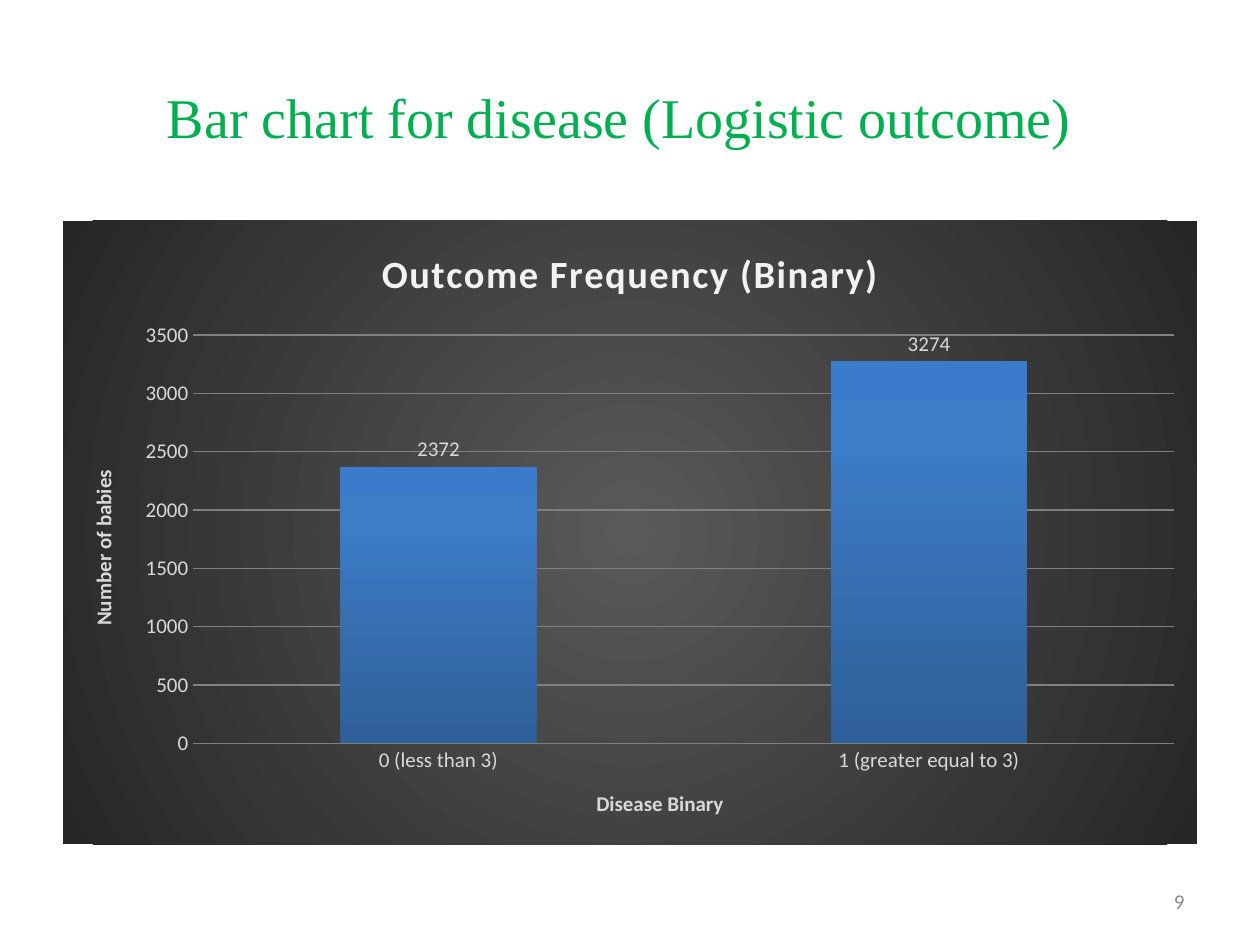
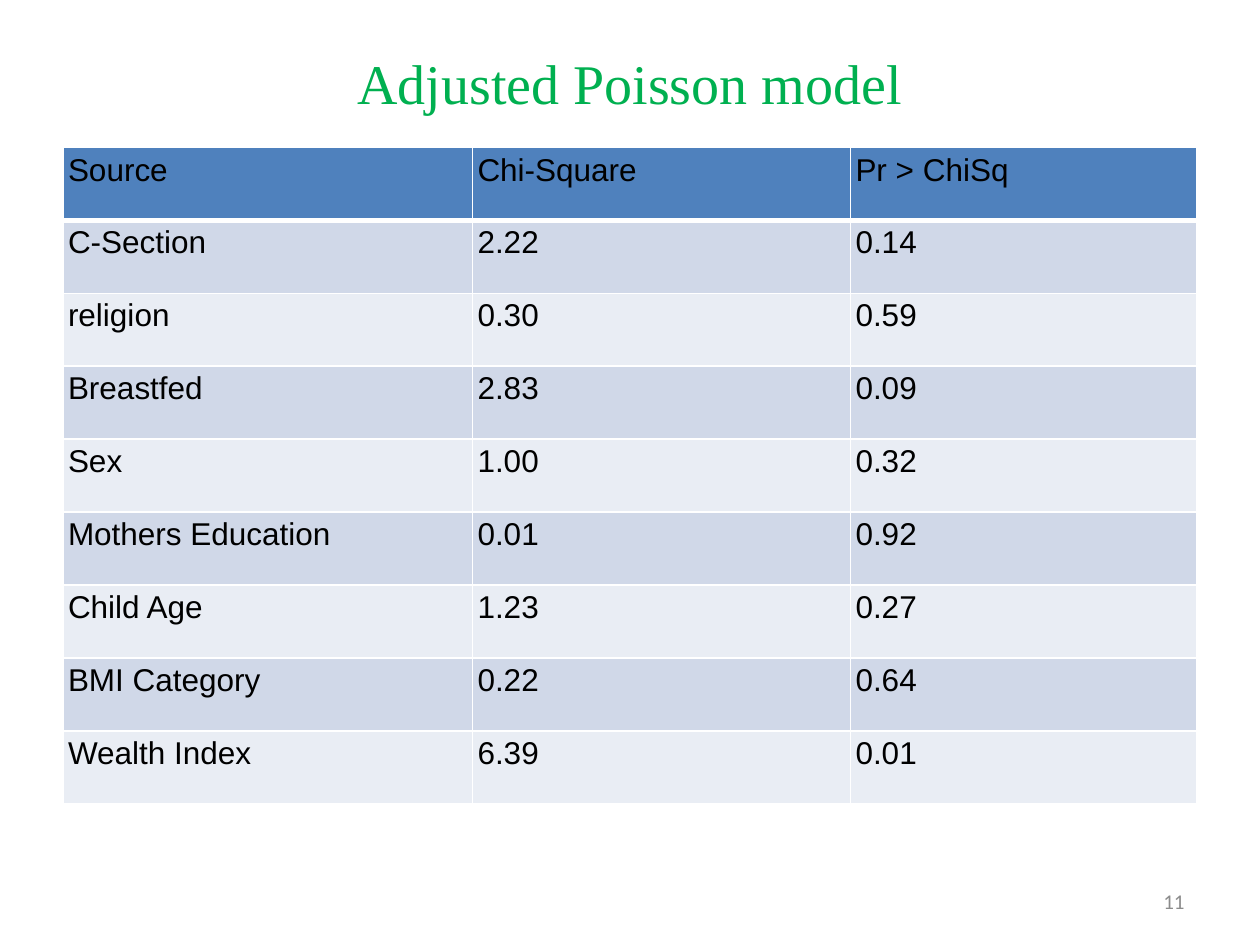
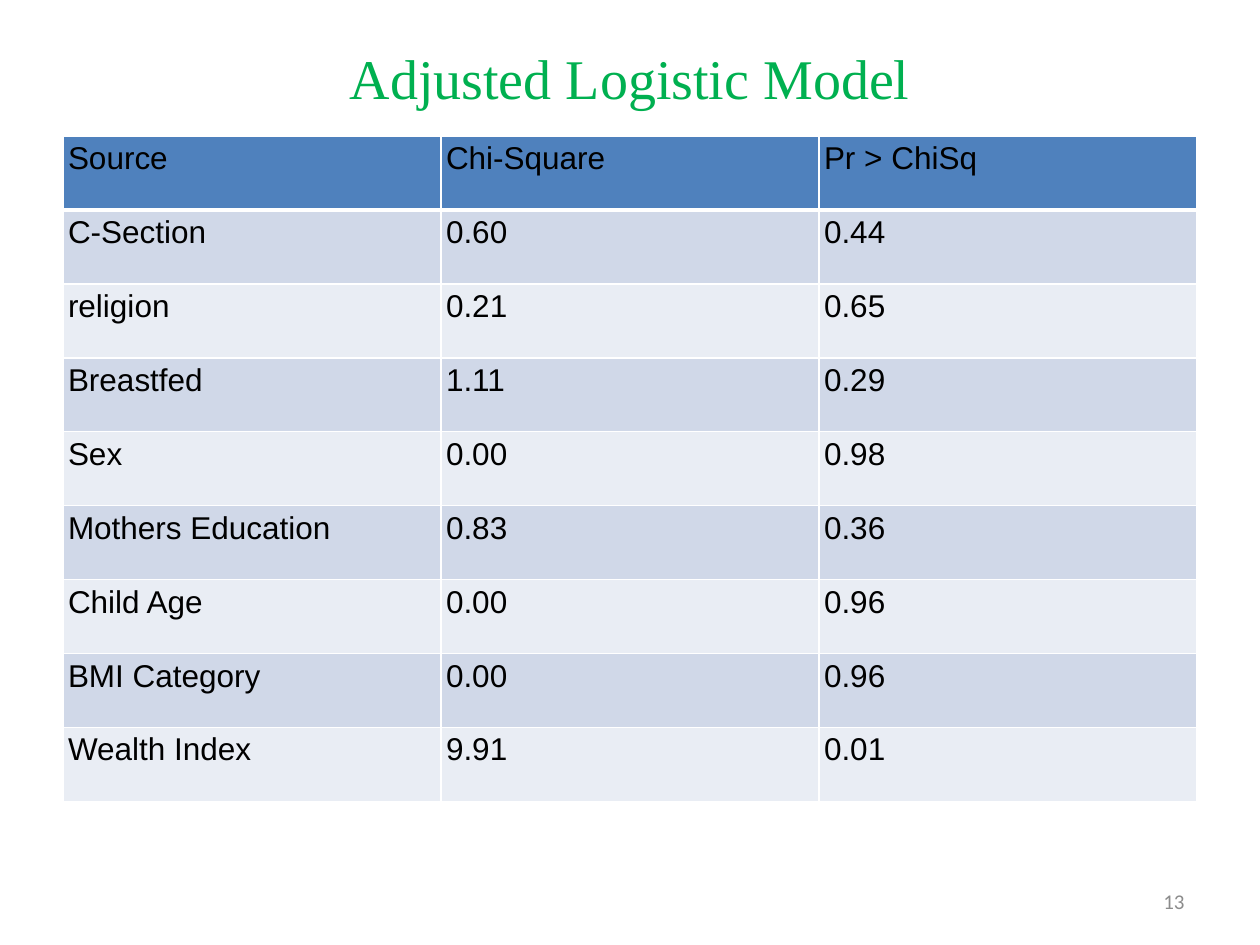
from lxml import etree
from pptx import Presentation
from pptx.chart.data import CategoryChartData
from pptx.dml.color import RGBColor
from pptx.enum.chart import XL_CHART_TYPE, XL_LABEL_POSITION, XL_TICK_MARK
from pptx.enum.text import MSO_ANCHOR, PP_ALIGN
from pptx.oxml import parse_xml
from pptx.oxml.ns import nsdecls, qn
from pptx.util import Inches, Pt

COLUMNS = XL_CHART_TYPE.COLUMN_CLUSTERED
OUTSIDE_END = XL_LABEL_POSITION.OUTSIDE_END
NO_TICK = XL_TICK_MARK.NONE
MIDDLE = MSO_ANCHOR.MIDDLE
LEFT, CENTER, RIGHT = PP_ALIGN.LEFT, PP_ALIGN.CENTER, PP_ALIGN.RIGHT
TITLE_ONLY = 5

COLORS = {
    "title": "00B050",
    "number": "8C8C8C",
    "text": "000000",
    "header": "4F81BD",
    "band_dark": "D0D8E8",
    "band_light": "E9EDF4",
    "border": "FFFFFF",
    "chart_title": "F2F2F2",
    "chart_text": "D9D9D9",
    "grid": "808080",
}
CHART_STOPS = [(0, "595959"), (100, "262626")]
BAR_STOPS = [(0, "2F5F99"), (80, "3D7CC7"), (100, "3A7CCB")]
CENTER_PATH = '<a:path path="circle"><a:fillToRect l="50000" t="50000" r="50000" b="50000"/></a:path>'
UPWARD = '<a:lin ang="16200000" scaled="0"/>'

HEADINGS = ("Source", "Chi-Square", "Pr > ChiSq")
SOURCES = ("C-Section", "religion", "Breastfed", "Sex", "Mothers Education",
           "Child Age", "BMI Category", "Wealth Index")
POISSON = [("2.22", "0.14"), ("0.30", "0.59"), ("2.83", "0.09"), ("1.00", "0.32"),
           ("0.01", "0.92"), ("1.23", "0.27"), ("0.22", "0.64"), ("6.39", "0.01")]
LOGISTIC = [("0.60", "0.44"), ("0.21", "0.65"), ("1.11", "0.29"), ("0.00", "0.98"),
            ("0.83", "0.36"), ("0.00", "0.96"), ("0.00", "0.96"), ("9.91", "0.01")]


def rgb(name):
    """Return the named colour."""
    return RGBColor.from_string(COLORS[name])


def format_font(font, size, color, name="Calibri", bold=False):
    """Set the look of a font."""
    font.size, font.name, font.bold = Pt(size), name, bold
    font.color.rgb = rgb(color)


def write_text(text_frame, text, align=LEFT, spacing=0, **font_format):
    """Write one formatted paragraph into a text frame."""
    paragraph = text_frame.paragraphs[0]
    paragraph.alignment = align
    run = paragraph.add_run()
    run.text = text
    format_font(run.font, **font_format)
    if spacing:
        run.font._element.set("spc", str(spacing))


def gradient_fill(stops, direction):
    """Return a gradient fill element."""
    stop_list = "".join(
        f'<a:gs pos="{position * 1000}"><a:srgbClr val="{color}"/></a:gs>'
        for position, color in stops)
    return parse_xml(f'<a:gradFill {nsdecls("a")} rotWithShape="1">'
                     f"<a:gsLst>{stop_list}</a:gsLst>{direction}</a:gradFill>")


def add_border(cell, side, width):
    """Draw one solid border of a cell."""
    cell._tc.get_or_add_tcPr().append(parse_xml(
        f'<a:ln{side} {nsdecls("a")} w="{Pt(width)}"><a:solidFill>'
        f'<a:srgbClr val="{COLORS["border"]}"/></a:solidFill></a:ln{side}>'))


class Deck:
    """Hold the presentation, its style and the current slide."""

    def __init__(self):
        """Start a 4:3 presentation."""
        self.presentation = Presentation()
        self.presentation.slide_width = Inches(10)
        self.presentation.slide_height = Inches(7.5)
        self.slide = None

    def add_slide(self, title, number, left=0.5, width=9, height=0.7):
        """Add a slide with its title and page number."""
        layout = self.presentation.slide_layouts[TITLE_ONLY]
        self.slide = self.presentation.slides.add_slide(layout)
        shape = self.slide.shapes.title
        shape.left, shape.top = Inches(left), Inches(0.3)
        shape.width, shape.height = Inches(width), Inches(height)
        shape.text_frame.vertical_anchor = MIDDLE
        write_text(shape.text_frame, title, align=CENTER, size=32,
                   color="title", name="Times New Roman")
        self.add_number(number)

    def add_number(self, number):
        """Add the page number at the lower right."""
        box = self.slide.shapes.add_textbox(
            Inches(7.17), Inches(6.95), Inches(2.33), Inches(0.4))
        box.text_frame.word_wrap = True
        box.text_frame.vertical_anchor = MIDDLE
        write_text(box.text_frame, str(number), align=RIGHT, size=12, color="number")

    def add_table(self, results, top, height, widths):
        """Add a banded table of test results."""
        rows = [HEADINGS] + [(source, *values) for source, values in zip(SOURCES, results)]
        table = self.slide.shapes.add_table(
            len(rows), len(HEADINGS), Inches(0.5), Inches(top), Inches(9), Inches(height)).table
        for column, width in zip(table.columns, widths):
            column.width = Inches(width)
        for row_index, row in enumerate(rows):
            band = "band_dark" if row_index % 2 else "band_light"
            fill = band if row_index else "header"
            for column_index, text in enumerate(row):
                self.fill_cell(table.cell(row_index, column_index), text, fill, row_index)

    def fill_cell(self, cell, text, fill, row_index):
        """Format one cell, with a thick line under the header row."""
        cell.margin_left = cell.margin_right = Inches(0.04)
        cell.margin_top = cell.margin_bottom = Inches(0.04)
        widths = {"L": 1, "R": 1, "T": 3 if row_index == 1 else 1,
                  "B": 3 if row_index == 0 else 1}
        for side, width in widths.items():
            add_border(cell, side, width)
        cell.fill.solid()
        cell.fill.fore_color.rgb = rgb(fill)
        write_text(cell.text_frame, text, size=18, color="text", name="Arial")

    def add_column_chart(self, title, values, category_title, value_title):
        """Add a column chart on a dark radial background."""
        data = CategoryChartData()
        data.categories = list(values)
        data.add_series("Series 1", values.values())
        chart = self.slide.shapes.add_chart(
            COLUMNS, Inches(0.5), Inches(1.75), Inches(9), Inches(4.95), data).chart
        format_font(chart.font, size=12, color="chart_text")
        chart.has_legend = False
        chart.has_title = True
        chart.chart_title.include_in_layout = False
        write_text(chart.chart_title.text_frame, title, align=CENTER, spacing=100,
                   size=22, color="chart_title", bold=True)
        background = etree.Element(qn("c:spPr"))
        background.append(gradient_fill(CHART_STOPS, CENTER_PATH))
        chart._chartSpace.find(qn("c:chart")).addnext(background)
        self.format_axis(chart.category_axis, category_title)
        self.format_axis(chart.value_axis, value_title)
        chart.value_axis.minimum_scale = 0
        chart.value_axis.maximum_scale = 3500
        chart.value_axis.major_unit = 500
        grid_line = chart.value_axis.major_gridlines.format.line
        grid_line.width = Pt(0.75)
        grid_line.color.rgb = rgb("grid")
        self.format_columns(chart.plots[0])

    def format_axis(self, axis, title):
        """Format an axis and its title."""
        axis.major_tick_mark = axis.minor_tick_mark = NO_TICK
        axis.format.line.fill.background()
        format_font(axis.tick_labels.font, size=12, color="chart_text")
        write_text(axis.axis_title.text_frame, title, align=CENTER,
                   size=12, color="chart_text", bold=True)

    def format_columns(self, plot):
        """Format the columns and their value labels."""
        plot.gap_width = 150
        plot.vary_by_categories = False
        plot.has_data_labels = True
        plot.data_labels.show_value = True
        plot.data_labels.position = OUTSIDE_END
        format_font(plot.data_labels.font, size=12, color="chart_text")
        properties = plot.series[0]._element.get_or_add_spPr()
        properties.append(gradient_fill(BAR_STOPS, UPWARD))


def main():
    """Build and save the presentation."""
    deck = Deck()
    deck.add_slide("Bar chart for disease (Logistic outcome)", 9,
                   left=0.33, width=9.17, height=1.25)
    deck.add_column_chart("Outcome Frequency (Binary)",
                          {"0 (less than 3)": 2372, "1 (greater equal to 3)": 3274},
                          "Disease Binary", "Number of babies")
    deck.add_slide("Adjusted Poisson model", 11)
    deck.add_table(POISSON, top=1.17, height=5.21, widths=(3.25, 3, 2.75))
    deck.add_slide("Adjusted Logistic Model", 13, height=0.62)
    deck.add_table(LOGISTIC, top=1.08, height=5.28, widths=(3, 3, 3))
    deck.presentation.save("out.pptx")


if __name__ == "__main__":
    main()
